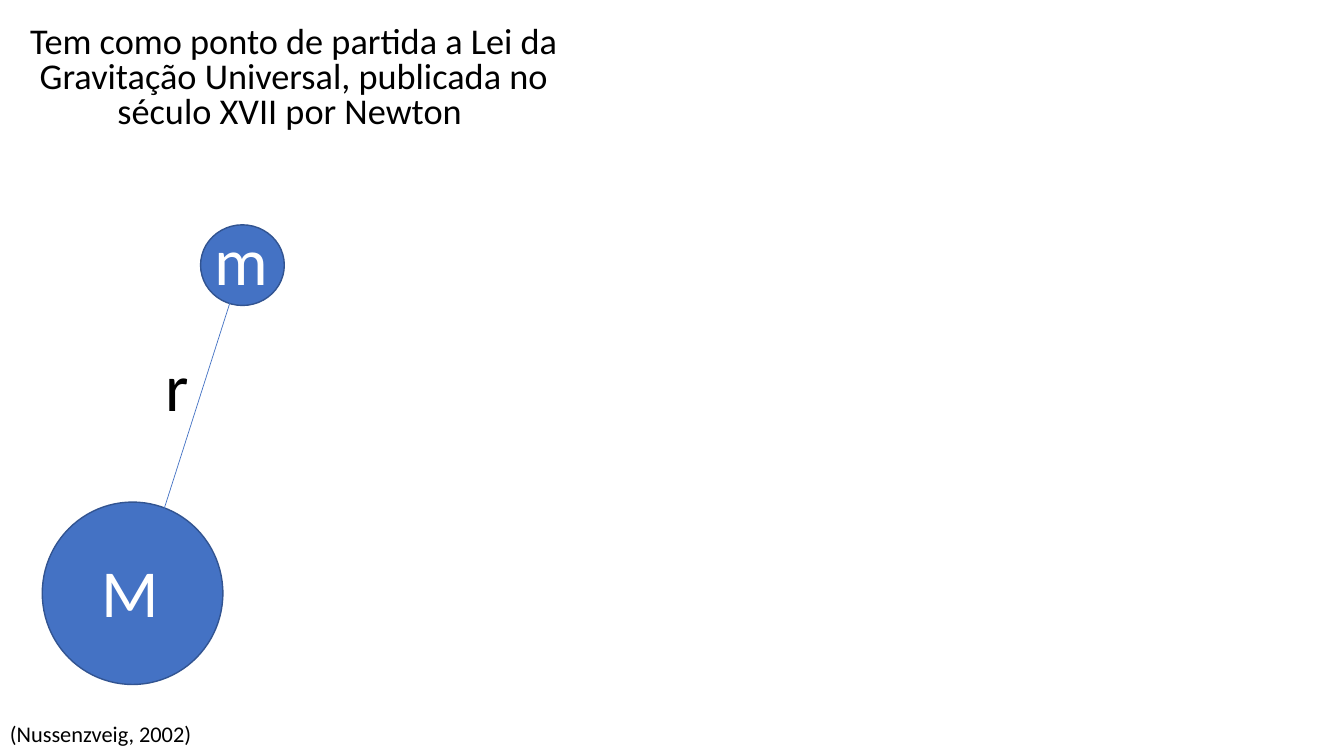
from pptx import Presentation
from pptx.dml.color import RGBColor
from pptx.enum.shapes import MSO_CONNECTOR, MSO_SHAPE
from pptx.enum.text import MSO_ANCHOR, MSO_AUTO_SIZE, PP_ALIGN
from pptx.oxml.ns import qn
from pptx.util import Pt
from lxml.etree import SubElement


def color(hex_string):
    return RGBColor.from_string(hex_string)


def add_text(box, words, size, ink, align=PP_ALIGN.LEFT, spacing=1.0,
             anchor=MSO_ANCHOR.TOP, wrap=True):
    frame = slide.shapes.add_textbox(*map(Pt, box)).text_frame
    frame.word_wrap = wrap
    frame.auto_size = MSO_AUTO_SIZE.NONE if wrap else MSO_AUTO_SIZE.SHAPE_TO_FIT_TEXT
    frame.vertical_anchor = anchor
    paragraph = frame.paragraphs[0]
    paragraph.alignment = align
    paragraph.line_spacing = spacing
    run = paragraph.add_run()
    run.text = words
    run.font.name = "Calibri"
    run.font.size = Pt(size)
    run.font.color.rgb = color(ink)


BLUE, DARK_BLUE, WHITE, BLACK = "4472C4", "325491", "FFFFFF", "000000"

presentation = Presentation()
presentation.slide_width, presentation.slide_height = Pt(960), Pt(540)
slide = presentation.slides.add_slide(presentation.slide_layouts[6])

# The two masses
for body_box in [(30.2, 358.6, 129, 130.3), (143.3, 160.6, 59.8, 57.6)]:
    body = slide.shapes.add_shape(MSO_SHAPE.OVAL, *map(Pt, body_box))
    body.shadow.inherit = False
    body.fill.solid()
    body.fill.fore_color.rgb = color(BLUE)
    body.line.color.rgb = color(DARK_BLUE)
    body.line.width = Pt(1)

# Distance between the masses
distance = slide.shapes.add_connector(
    MSO_CONNECTOR.STRAIGHT, Pt(97.9), Pt(424.1), Pt(172.8), Pt(189.4))
distance.line.color.rgb = color(BLUE)
distance.line.width = Pt(0.5)
SubElement(distance.element.spPr, qn("a:effectLst"))

# Symbols
for symbol, left, top, width, ink in [
    ("M", 65.5, 389.5, 56.2, WHITE),
    ("m", 146.2, 152.6, 53.3, WHITE),
    ("r", 110.9, 242.6, 31.7, BLACK),
]:
    add_text((left, top, width, 65.5), symbol, 48, ink, wrap=False)

# Citation and statement
add_text((0, 505.4, 162.7, 31.7), "(Nussenzveig, 2002)", 16, BLACK,
         spacing=0.9, anchor=MSO_ANCHOR.BOTTOM)
add_text((11.5, 12.2, 396.7, 85),
         "Tem como ponto de partida a Lei da Gravitação Universal, "
         "publicada no século XVII por Newton ",
         25.9, BLACK, align=PP_ALIGN.CENTER, spacing=0.8, anchor=MSO_ANCHOR.BOTTOM)

presentation.save("out.pptx")
